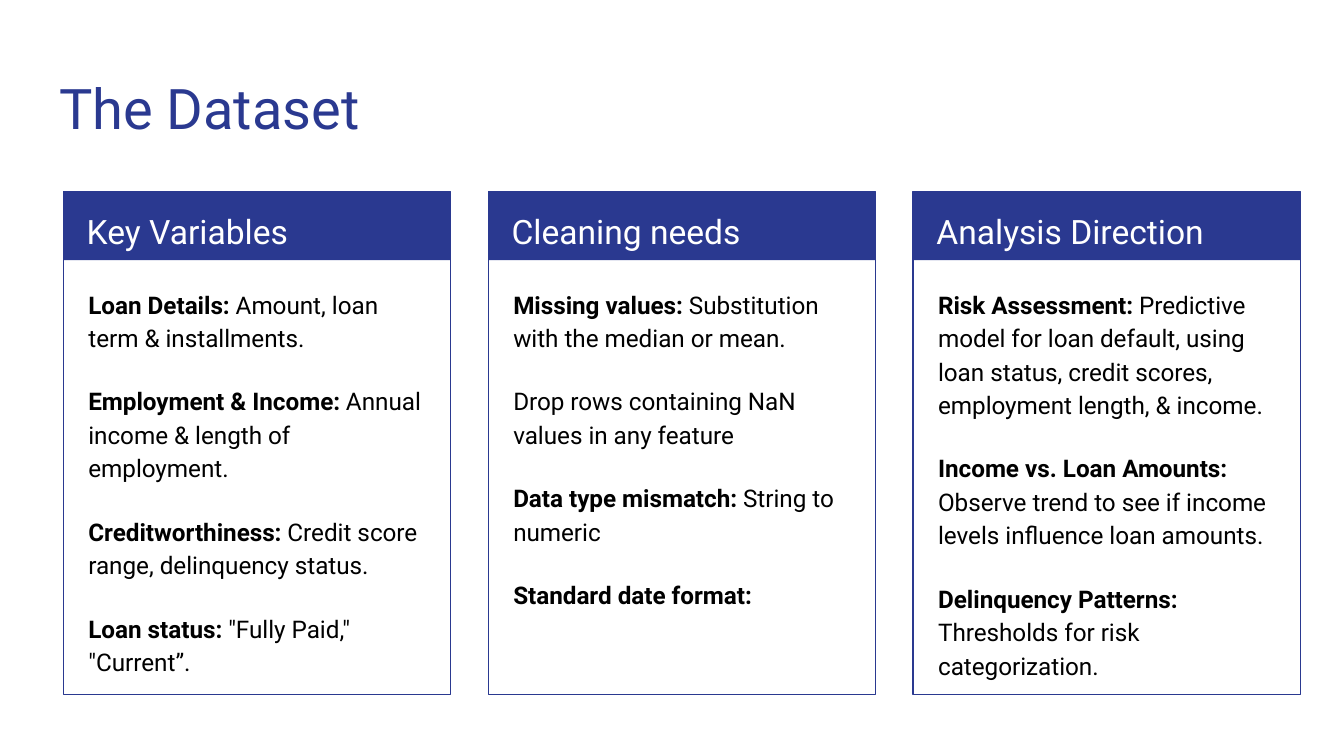
"""Build the dataset slide with three framed columns of notes."""
from dataclasses import dataclass

from lxml.etree import SubElement
from pptx import Presentation
from pptx.dml.color import RGBColor as Rgb
from pptx.enum.shapes import MSO_SHAPE as Preset
from pptx.enum.text import MSO_ANCHOR as Anchor, MSO_AUTO_SIZE as AutoSize, PP_ALIGN as Align
from pptx.oxml.ns import qn
from pptx.util import Pt

COLOURS = {"navy": "2A3990", "white": "FFFFFF", "black": "000000"}
FONT = "Roboto"
COLUMN_LEFT, COLUMN_TOP, COLUMN_PITCH = 34, 102.7, 227.6
COLUMN_WIDTH, COLUMN_HEIGHT, BAND_HEIGHT = 207.4, 269.3, 36.7
HEADING_WIDTH, LIST_WIDTH = 196.6, 195.1
LIST_TOP, LIST_HEIGHT = 145.7, 220.3
PARA_GAP = 16


@dataclass
class Note:
    label: str
    detail: str


@dataclass
class Column:
    heading: str
    notes: list[Note]


@dataclass
class TextStyle:
    size: float
    colour: str
    line_spacing: float = 1.15


TITLE_STYLE = TextStyle(30, "navy", 1.0)
HEADING_STYLE = TextStyle(18, "white")
LIST_STYLE = TextStyle(13, "black")

COLUMNS = [
    Column("Key Variables", [
        Note("Loan Details:", " Amount, loan term & installments."),
        Note("Employment & Income:", " Annual income & length of employment."),
        Note("Creditworthiness:", " Credit score range, delinquency status."),
        Note("Loan status:", ' "Fully Paid," "Current”.'),
    ]),
    Column("Cleaning needs", [
        Note("Missing values: ", "Substitution with the median or mean."),
        Note("", "Drop rows containing NaN values in any feature"),
        Note("Data type mismatch: ", "String to numeric"),
        Note("Standard date format:", ""),
    ]),
    Column("Analysis Direction", [
        Note("Risk Assessment:", " Predictive model for loan default, using loan status, "
             "credit scores, employment length, & income."),
        Note("Income vs. Loan Amounts: ", "Observe trend to see if income levels "
             "influence loan amounts."),
        Note("Delinquency Patterns: ", "Thresholds for risk categorization."),
    ]),
]


def colour(name: str) -> Rgb:
    """Return the named palette colour."""
    return Rgb.from_string(COLOURS[name])


def place(box, left: float, top: float, width: float, height: float) -> None:
    """Move and size a box, all in points."""
    for name, value in dict(left=left, top=top, width=width, height=height).items():
        setattr(box, name, Pt(value))


def write_text(box, notes: list[Note], style: TextStyle) -> None:
    """Write one plain paragraph per note, with its label in bold."""
    frame = box.text_frame
    frame_format = dict(word_wrap=True, auto_size=AutoSize.NONE, vertical_anchor=Anchor.TOP)
    margins = {f"margin_{side}": Pt(7.2) for side in ("left", "right", "top", "bottom")}
    for name, value in (frame_format | margins).items():
        setattr(frame, name, value)
    for index, note in enumerate(notes):
        para = frame.add_paragraph() if index else frame.paragraphs[0]
        para_format = dict(alignment=Align.LEFT, line_spacing=style.line_spacing,
                           space_before=Pt(PARA_GAP if index else 0), space_after=Pt(0))
        for name, value in para_format.items():
            setattr(para, name, value)
        properties = para._p.get_or_add_pPr()
        for name in ("marL", "indent"):
            properties.set(name, "0")
        SubElement(properties, qn("a:buNone"))
        for text, bold in ((note.label, True), (note.detail, False)):
            if text:
                span = para.add_run()
                span.text = text
                span.font.color.rgb = colour(style.colour)
                for name, value in dict(name=FONT, size=Pt(style.size), bold=bold).items():
                    setattr(span.font, name, value)


def add_rectangle(page, left: float, height: float, filled: bool) -> None:
    """Draw a column's solid band or its open frame."""
    box = page.shapes.add_shape(Preset.RECTANGLE, 0, 0, 0, 0)
    place(box, left, COLUMN_TOP, COLUMN_WIDTH, height)
    box.shadow.inherit = False
    if filled:
        box.fill.solid()
        box.fill.fore_color.rgb = colour("navy")
        box.line.fill.background()
    else:
        box.fill.background()
        box.line.color.rgb = colour("navy")
        box.line.width = Pt(0.75)


def add_column(page, column: Column, left: float, list_box) -> None:
    """Draw a framed column with its heading and list."""
    add_rectangle(page, left, BAND_HEIGHT, filled=True)
    add_rectangle(page, left, COLUMN_HEIGHT, filled=False)
    heading_box = page.shapes.add_textbox(0, 0, 0, 0)
    place(heading_box, left + (COLUMN_WIDTH - HEADING_WIDTH) / 2, COLUMN_TOP,
          HEADING_WIDTH, BAND_HEIGHT)
    write_text(heading_box, [Note("", column.heading)], HEADING_STYLE)
    place(list_box, left + (COLUMN_WIDTH - LIST_WIDTH) / 2, LIST_TOP, LIST_WIDTH, LIST_HEIGHT)
    write_text(list_box, column.notes, LIST_STYLE)


def main() -> None:
    """Build and save the deck."""
    deck = Presentation()
    deck.slide_width, deck.slide_height = Pt(720), Pt(405)
    comparison_layout = deck.slide_layouts[4]
    page = deck.slides.add_slide(comparison_layout)
    title = page.shapes.title
    place(title, 24.5, 32.4, 671, 47.5)
    write_text(title, [Note("", "The Dataset")], TITLE_STYLE)
    *list_boxes, spare_box = [box for box in page.placeholders if box.placeholder_format.idx]
    spare_box.element.getparent().remove(spare_box.element)
    for index, (column, list_box) in enumerate(zip(COLUMNS, list_boxes)):
        add_column(page, column, COLUMN_LEFT + index * COLUMN_PITCH, list_box)
    deck.save("out.pptx")


if __name__ == "__main__":
    main()
